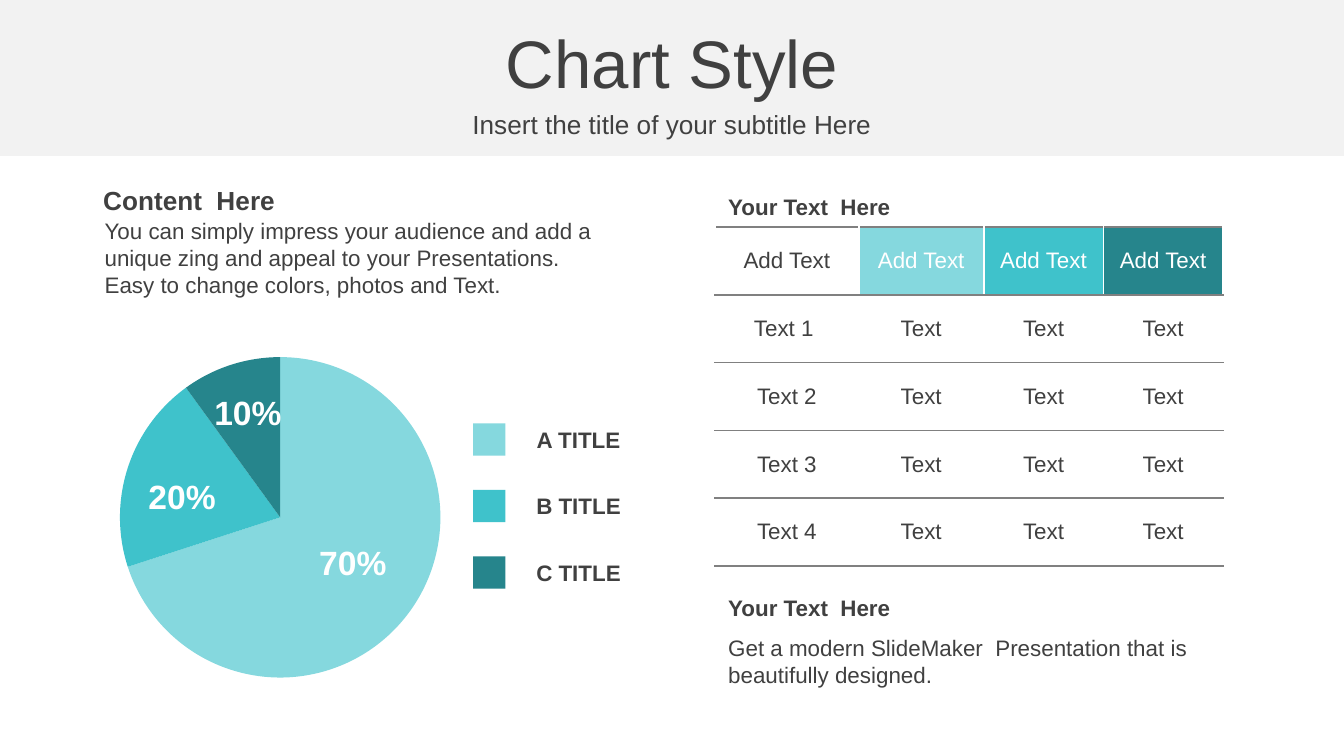
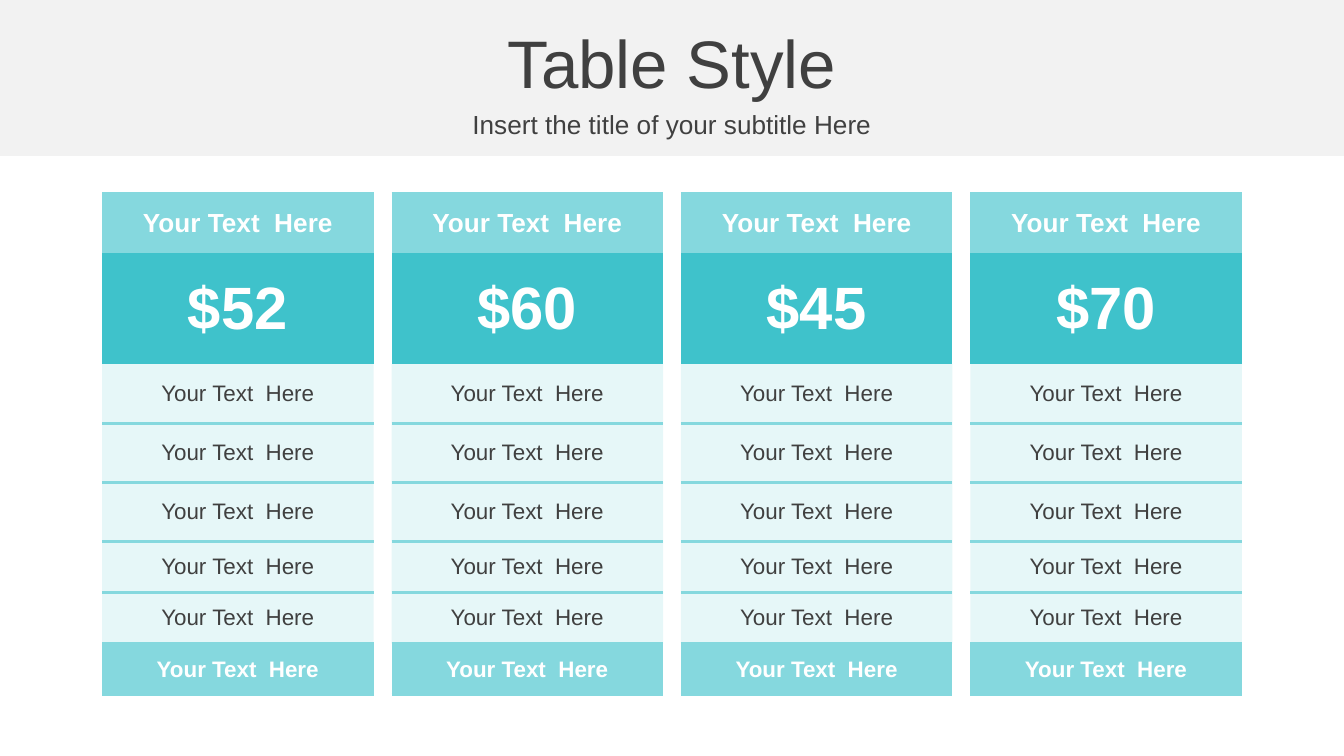
from dataclasses import dataclass

from lxml.etree import SubElement
from pptx import Presentation
from pptx.chart.data import CategoryChartData
from pptx.dml.color import RGBColor
from pptx.enum.chart import XL_CHART_TYPE as ChartType
from pptx.enum.shapes import MSO_SHAPE as ShapeKind
from pptx.enum.text import MSO_ANCHOR as Anchor, MSO_AUTO_SIZE as AutoSize, PP_ALIGN as Align
from pptx.oxml import parse_xml
from pptx.oxml.ns import nsdecls, qn
from pptx.util import Inches, Pt

FONT = "Arial"
WHITE = RGBColor(0xFF, 0xFF, 0xFF)
BAND = RGBColor(0xF2, 0xF2, 0xF2)
INK = RGBColor(0x40, 0x40, 0x40)
RULE = RGBColor(0x80, 0x80, 0x80)
LIGHT = RGBColor(0x85, 0xD8, 0xDE)
MEDIUM = RGBColor(0x3F, 0xC2, 0xCB)
DARK = RGBColor(0x26, 0x85, 0x8C)
SHADES = (LIGHT, MEDIUM, DARK)

PLAIN_TABLE = "{2D5ABB26-0587-4C30-8999-92F81FD0307C}"
SUBTITLE = "Insert the title of your subtitle Here"
SAMPLE = "Your Text  Here"

# The slide is a grid of 100 columns by 56.25 rows of square units
SLIDE_WIDTH, SLIDE_HEIGHT = Inches(10), Inches(5.625)
UNIT = SLIDE_WIDTH / 100


def units(count):
    return round(count * UNIT)


@dataclass
class Box:
    """A rectangle in grid units."""
    left: float
    top: float
    width: float
    height: float

    def region(self, left, top, width, height):
        return Box(self.left + left, self.top + top, width, height)

    def lengths(self):
        return [units(n) for n in (self.left, self.top, self.width, self.height)]


PAGE = Box(0, 0, 100, 56.25)
HEADER = PAGE.region(0, 0, 100, 11.6)


# Shared helpers

def write(frame, text, size, color=INK, bold=False, align=Align.LEFT):
    frame.text = text
    frame.word_wrap = True
    frame.vertical_anchor = Anchor.MIDDLE
    paragraph = frame.paragraphs[0]
    paragraph.alignment = align
    font = paragraph.font
    font.name, font.size, font.bold = FONT, Pt(size), bold
    font.color.rgb = color


def add_text(shapes, box, text, size, **style):
    frame = shapes.add_textbox(*box.lengths()).text_frame
    write(frame, text, size, **style)
    frame.auto_size = AutoSize.SHAPE_TO_FIT_TEXT


def add_block(shapes, box, color):
    block = shapes.add_shape(ShapeKind.RECTANGLE, *box.lengths())
    block.shadow.inherit = False
    block.fill.solid()
    block.fill.fore_color.rgb = color
    block.line.fill.background()
    return block


def add_plain_table(slide, box, widths, heights):
    frame = slide.shapes.add_table(len(heights), len(widths), *box.lengths())
    table = frame.table
    table.first_row = table.horz_banding = False
    frame.element.find(".//" + qn("a:tableStyleId")).text = PLAIN_TABLE
    for column, width in zip(table.columns, widths):
        column.width = units(width)
    for row, height in zip(table.rows, heights):
        row.height = units(height)
    return table


def fill_cell(cell, text, size, fill, opacity=100, **style):
    write(cell.text_frame, text, size, align=Align.CENTER, **style)
    cell.vertical_anchor = Anchor.MIDDLE
    cell.fill.solid()
    cell.fill.fore_color.rgb = fill
    if opacity < 100:
        properties = cell._tc.get_or_add_tcPr()
        color = properties.find(".//" + qn("a:srgbClr"))
        SubElement(color, qn("a:alpha"), val=str(opacity * 1000))


def set_borders(cell, **borders):
    """Draw borders given as side=(color, points), sides in the order L, R, T, B."""
    properties = cell._tc.get_or_add_tcPr()
    for index, (side, (color, points)) in enumerate(borders.items()):
        properties.insert(index, parse_xml(
            f'<a:ln{side} {nsdecls("a")} w="{int(Pt(points))}"><a:solidFill>'
            f'<a:srgbClr val="{color}"/></a:solidFill></a:ln{side}>'))


# Header: band on the layout, title and subtitle on each slide

def add_header_band(slide):
    band = add_block(slide.shapes, HEADER, BAND)
    slide.slide_layout.shapes.element.insert(2, band.element)


def add_header(slide, box, title):
    title_box = box.region(0, 1.4, box.width, 6.3)
    subtitle_box = box.region(0, 7.7, box.width, 3.1)
    lines = ((title_box, title, 36), (subtitle_box, SUBTITLE, 14))
    for placeholder, (area, text, size) in zip(slide.placeholders, lines):
        (placeholder.left, placeholder.top,
         placeholder.width, placeholder.height) = area.lengths()
        frame = placeholder.text_frame
        write(frame, text, size, align=Align.CENTER)
        frame.auto_size = AutoSize.NONE
        frame.margin_top = frame.margin_bottom = 0


# Chart slide

def add_introduction(slide, box):
    shapes = slide.shapes.add_group_shape().shapes
    add_text(shapes, box.region(0, 0, 39.4, 3.4), "Content  Here", 14, bold=True)
    add_text(shapes, box.region(0.1, 2.4, 39.2, 7.1),
             "You can simply impress your audience and add a unique zing and appeal to "
             "your Presentations. Easy to change colors, photos and Text.", 12)


def add_pie(slide, box):
    data = CategoryChartData()
    data.categories = ["1", "2", "3"]
    data.add_series("Series 1", (70, 20, 10))
    chart = slide.shapes.add_chart(ChartType.PIE, *box.lengths(), data).chart
    chart.has_title = chart.has_legend = False
    chart.font.name, chart.font.size = FONT, Pt(18)
    plot = chart.plots[0]
    plot.vary_by_categories = False
    for index, shade in enumerate(SHADES):
        fill = plot.series[0].points[index].format.fill
        fill.solid()
        fill.fore_color.rgb = shade

    # Fixed plot area inside the chart frame
    area = chart.element.find(".//" + qn("c:plotArea"))
    for layout in area.findall(qn("c:layout")):
        area.remove(layout)
    area.insert(0, parse_xml(
        f'<c:layout {nsdecls("c")}><c:manualLayout><c:layoutTarget val="inner"/>'
        '<c:xMode val="edge"/><c:yMode val="edge"/><c:x val="0.05"/><c:y val="0.05"/>'
        '<c:w val="0.9"/><c:h val="0.9"/></c:manualLayout></c:layout>'))

    # Shares written over the slices
    for left, top, label in ((14.8, 14.6, "70%"), (2.1, 9.7, "20%"), (7, 3.5, "10%")):
        add_text(slide.shapes, box.region(left, top, 7.7, 4), label, 18,
                 color=WHITE, bold=True, align=Align.CENTER)


def add_legend(slide, box):
    shapes = slide.shapes.add_group_shape().shapes
    step = (box.height - 3) / (len(SHADES) - 1)
    for index, (letter, shade) in enumerate(zip("ABC", SHADES)):
        top = index * step
        add_block(shapes, box.region(0, top + 0.3, 2.4, 2.4), shade)
        add_text(shapes, box.region(2.4, top, 10.9, 3), f"{letter} TITLE", 12,
                 bold=True, align=Align.CENTER)


def add_data_table(slide, box):
    rows = [["Add Text"] * 4] + [[label] + ["Text"] * 3
                                 for label in ("Text 1 ", "Text 2", "Text 3", "Text 4")]
    count = len(rows)
    table = add_plain_table(slide, box, (10.7, 9.3, 8.9, 8.9), [box.height / count] * count)
    edges = [1.5, 1.5, 1, 1, 1, 1.5]
    for row, texts in enumerate(rows):
        for column, text in enumerate(texts):
            shaded = row == 0 and column > 0
            cell = table.cell(row, column)
            fill_cell(cell, text, 12, SHADES[column - 1] if shaded else WHITE,
                      color=WHITE if shaded else INK)
            set_borders(cell, L=(WHITE, 1), R=(WHITE, 1),
                        T=(RULE, edges[row]), B=(RULE, edges[row + 1]))


def add_table_panel(slide, box):
    add_text(slide.shapes, box.region(0, 0, 18.2, 3), SAMPLE, 12, bold=True)
    add_data_table(slide, box.region(0, 3, 37.7, 25.2))
    shapes = slide.shapes.add_group_shape().shapes
    add_text(shapes, box.region(0, 29.8, box.width, 3), SAMPLE, 12, bold=True)
    add_text(shapes, box.region(0, 32.8, box.width, 5),
             "Get a modern SlideMaker  Presentation that is beautifully designed.", 12)


def build_chart_slide(slide):
    add_header(slide, HEADER, "Chart Style")
    add_introduction(slide, PAGE.region(6.7, 13.2, 39.4, 9.5))
    add_pie(slide, PAGE.region(7.6, 25.2, 26.5, 26.6))
    add_legend(slide, PAGE.region(35.2, 31.2, 13.3, 12.9))
    add_table_panel(slide, PAGE.region(53.2, 13.9, 37.6, 37.8))


# Table slide

def add_price_table(slide, box, price):
    feature = (SAMPLE, 12, LIGHT, 20, INK, False)
    rows = [(SAMPLE, 14, LIGHT, 100, WHITE, True),
            (price, 32, MEDIUM, 100, WHITE, True),
            *[feature] * 5,
            (SAMPLE, 12, LIGHT, 100, WHITE, True)]
    heights = (4.45, 8.25, 4.4, 4.4, 4.4, 3.8, 3.8, 3.8)
    table = add_plain_table(slide, box, [box.width], heights)
    unruled = (1, 2)  # edges above and below the price
    for index, (text, size, fill, opacity, color, bold) in enumerate(rows):
        cell = table.cell(index, 0)
        fill_cell(cell, text, size, fill, opacity, color=color, bold=bold)
        set_borders(cell, **{side: (LIGHT, 1.5)
                             for side, edge in (("T", index), ("B", index + 1))
                             if edge not in unruled})


def add_price_tables(slide, box, prices):
    width = 20.2
    step = (box.width - width) / (len(prices) - 1)
    for index, price in enumerate(prices):
        add_price_table(slide, box.region(index * step, 0, width, box.height), price)


def build_table_slide(slide):
    add_header(slide, HEADER, "Table Style")
    add_price_tables(slide, PAGE.region(7.6, 14.4, 84.8, 37.3), ("$52", "$60", "$45", "$70"))


def main():
    presentation = Presentation()
    presentation.slide_width, presentation.slide_height = SLIDE_WIDTH, SLIDE_HEIGHT
    layout = presentation.slide_layouts[0]  # title and subtitle
    chart_slide, table_slide = (presentation.slides.add_slide(layout) for _ in range(2))
    add_header_band(chart_slide)
    build_chart_slide(chart_slide)
    build_table_slide(table_slide)
    presentation.save("out.pptx")


if __name__ == "__main__":
    main()
